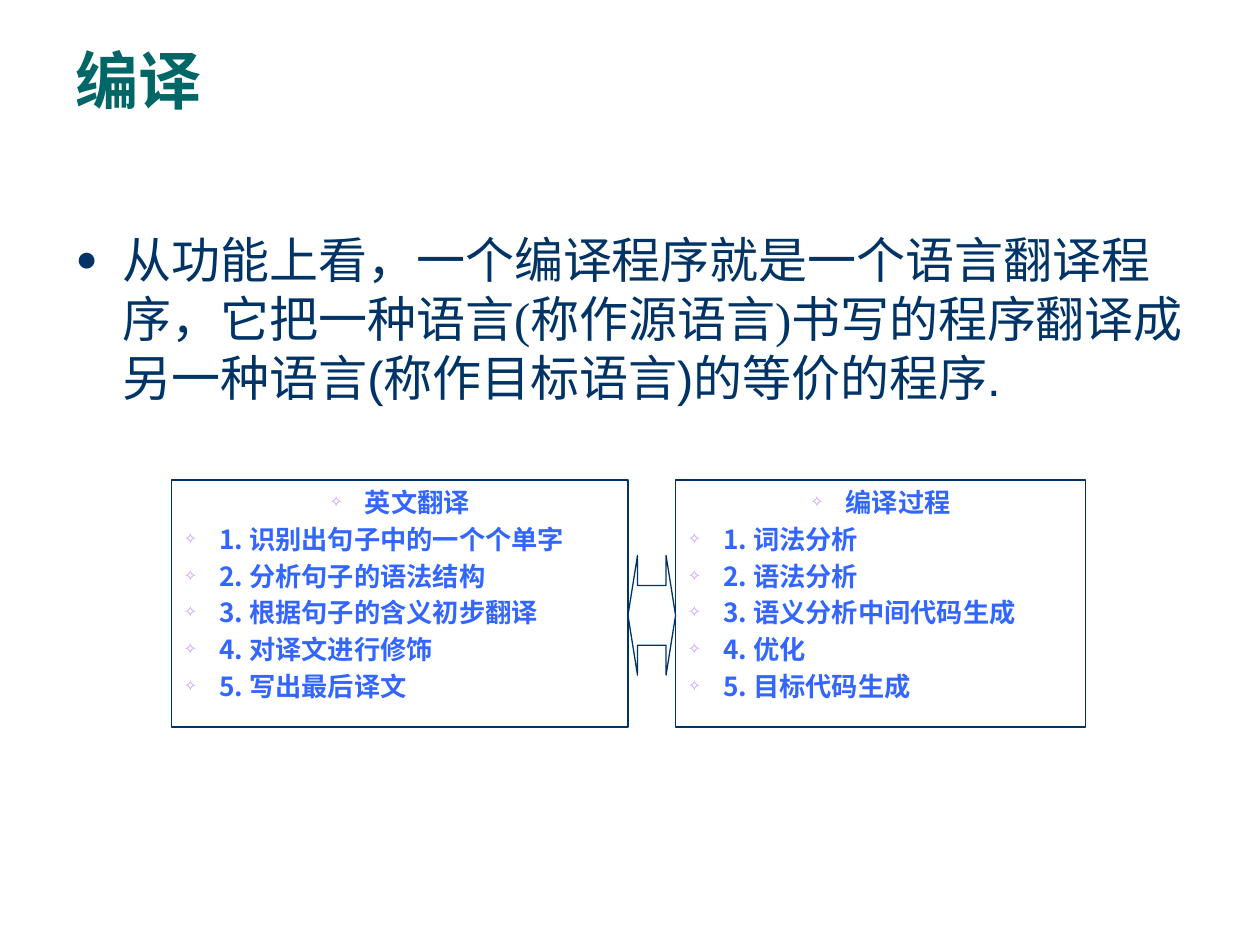
from lxml.etree import SubElement
from pptx import Presentation
from pptx.dml.color import RGBColor
from pptx.enum.shapes import MSO_SHAPE
from pptx.enum.text import MSO_ANCHOR, MSO_AUTO_SIZE, PP_ALIGN
from pptx.oxml.ns import qn
from pptx.util import Cm, Pt

CJK = "Noto Sans CJK SC"
NAVY, TEAL, BLUE, LILAC = "003366", "006666", "3366FF", "CC99FF"

TITLE = "编译"
BODY = [
    ("从功能上看，一个编译程序就是一个语言翻译程序，它把一种语言(称作源语言)书写的程序翻译成另一种语言",
     "Times New Roman"),
    ("(称作目标语言)的等价的程序.", "Arial"),
]
# left, width, heading, steps
PANELS = [
    (3.46, 9.2, "英文翻译",
     ["识别出句子中的一个个单字", "分析句子的语法结构", "根据句子的含义初步翻译",
      "对译文进行修饰", "写出最后译文"]),
    (13.62, 8.26, "编译过程",
     ["词法分析", "语法分析", "语义分析中间代码生成", "优化", "目标代码生成"]),
]
PANEL_TOP, PANEL_HEIGHT = 9.68, 4.98
ARROW_TOP, ARROW_HEIGHT = 11.2, 2.41


def color(code):
    return RGBColor.from_string(code)


def place(shape, left, top, width, height):
    shape.left, shape.top = Cm(left), Cm(top)
    shape.width, shape.height = Cm(width), Cm(height)


def set_frame(frame):
    frame.word_wrap = True
    frame.auto_size = MSO_AUTO_SIZE.NONE
    frame.vertical_anchor = MSO_ANCHOR.TOP


def add_bullet(para, char, code, percent, indent):
    props = para._p.get_or_add_pPr()
    props.set("marL", str(Cm(indent)))
    props.set("indent", str(-Cm(indent)))
    SubElement(SubElement(props, qn("a:buClr")), qn("a:srgbClr"), val=code)
    SubElement(props, qn("a:buSzPct"), val=str(percent * 1000))
    SubElement(props, qn("a:buFont"), typeface="Arial")
    SubElement(props, qn("a:buChar"), char=char)


def style(para, size, code, line, name=None, bold=False):
    """Set font and exact line height; name is None when runs differ."""
    para.line_spacing = Pt(line)
    para.space_before = Pt(0)
    font = para.font
    font.size, font.bold = Pt(size), bold
    font.color.rgb = color(code)
    if name:
        font.name = name
    SubElement(para._p.pPr.find(qn("a:defRPr")), qn("a:ea"), typeface=CJK)


def add_outline(slide, kind, left, top, width, height):
    shape = slide.shapes.add_shape(
        kind, Cm(left), Cm(top), Cm(width), Cm(height))
    shape.shadow.inherit = False
    shape.fill.background()
    shape.line.color.rgb = color(NAVY)
    shape.line.width = Pt(0.75)
    return shape


def add_panel(slide, left, width, heading, steps):
    frame = add_outline(slide, MSO_SHAPE.RECTANGLE, left, PANEL_TOP,
                        width, PANEL_HEIGHT).text_frame
    set_frame(frame)
    lines = [heading] + [f"{n}. {step}" for n, step in enumerate(steps, 1)]
    for i, text in enumerate(lines):
        para = frame.add_paragraph() if i else frame.paragraphs[0]
        para.text = text
        add_bullet(para, "✧", LILAC, 60, 0.71)
        style(para, 15, BLUE, 18, CJK, True)
        para.alignment = PP_ALIGN.LEFT if i else PP_ALIGN.CENTER
        if i:
            para.space_before = Pt(3)


def main():
    deck = Presentation()
    deck.slide_width, deck.slide_height = Cm(25.4), Cm(19.05)
    slide = deck.slides.add_slide(deck.slide_layouts[1])

    title, body = slide.placeholders
    place(title, 1.27, 0.76, 22.86, 3.18)
    set_frame(title.text_frame)
    para = title.text_frame.paragraphs[0]
    para.text = TITLE
    para.alignment = PP_ALIGN.LEFT
    style(para, 36, TEAL, 42, "Arial", True)

    place(body, 1.27, 4.5, 22.86, 12.5)
    set_frame(body.text_frame)
    para = body.text_frame.paragraphs[0]
    add_bullet(para, "●", NAVY, 75, 0.95)
    style(para, 28, NAVY, 33.7)
    for text, name in BODY:
        run = para.add_run()
        run.text = text
        run.font.name = name

    for panel in PANELS:
        add_panel(slide, *panel)

    (left, width, *_), (end, *_) = PANELS
    start = left + width
    arrow = add_outline(slide, MSO_SHAPE.LEFT_RIGHT_ARROW, start, ARROW_TOP,
                        end - start, ARROW_HEIGHT)
    arrow.adjustments[0], arrow.adjustments[1] = 0.5, 0.2

    deck.save("out.pptx")


if __name__ == "__main__":
    main()
